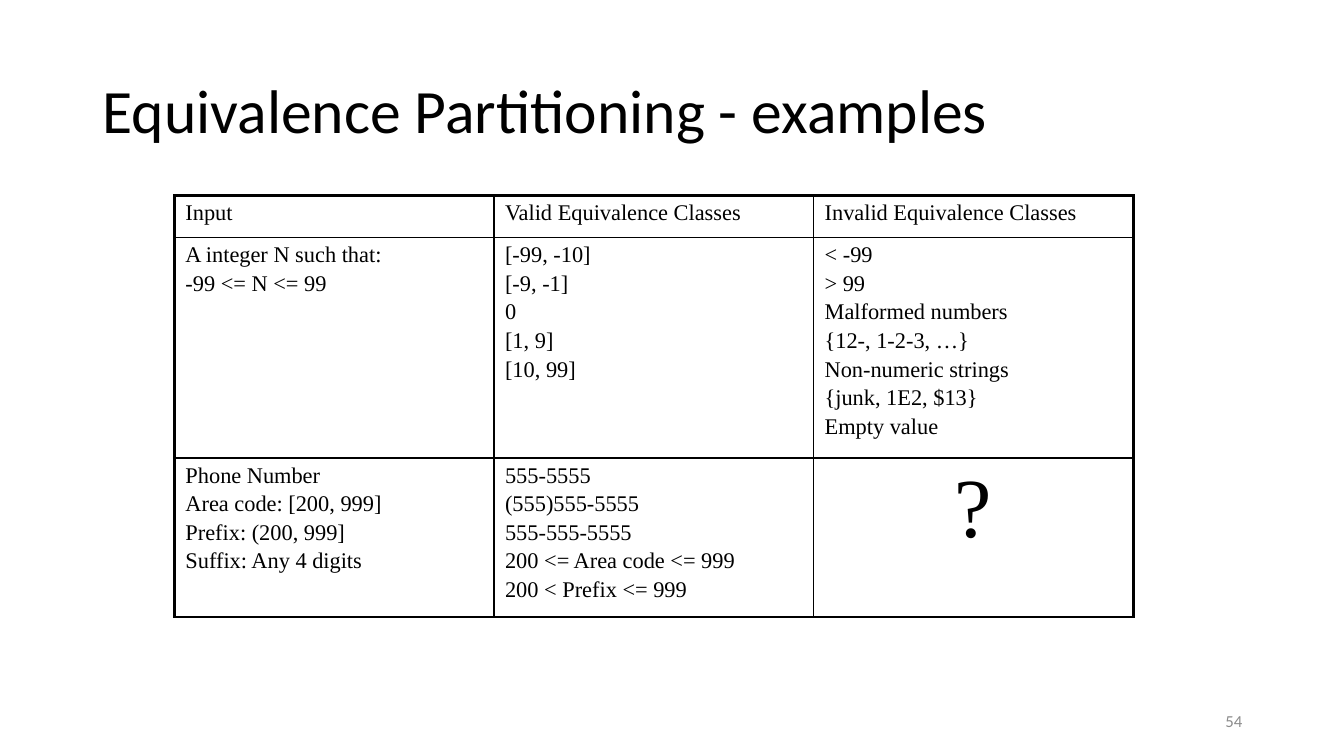
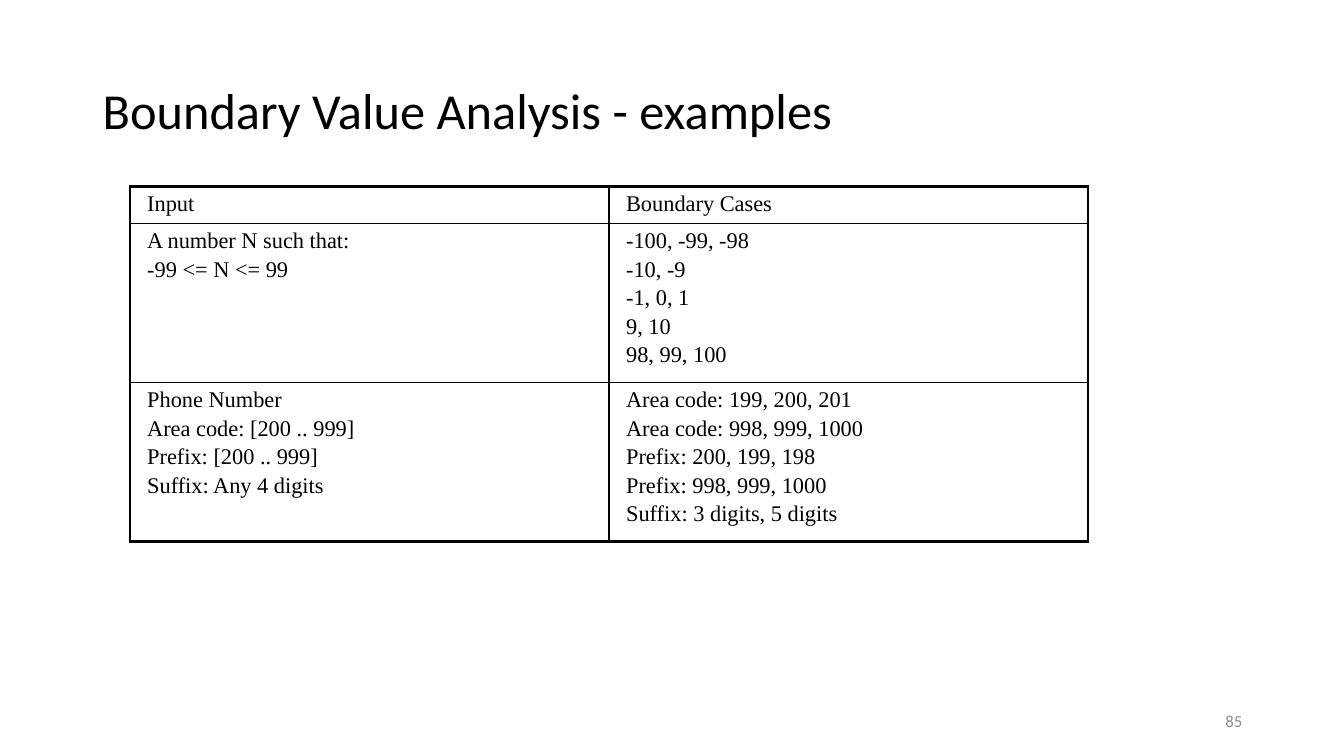
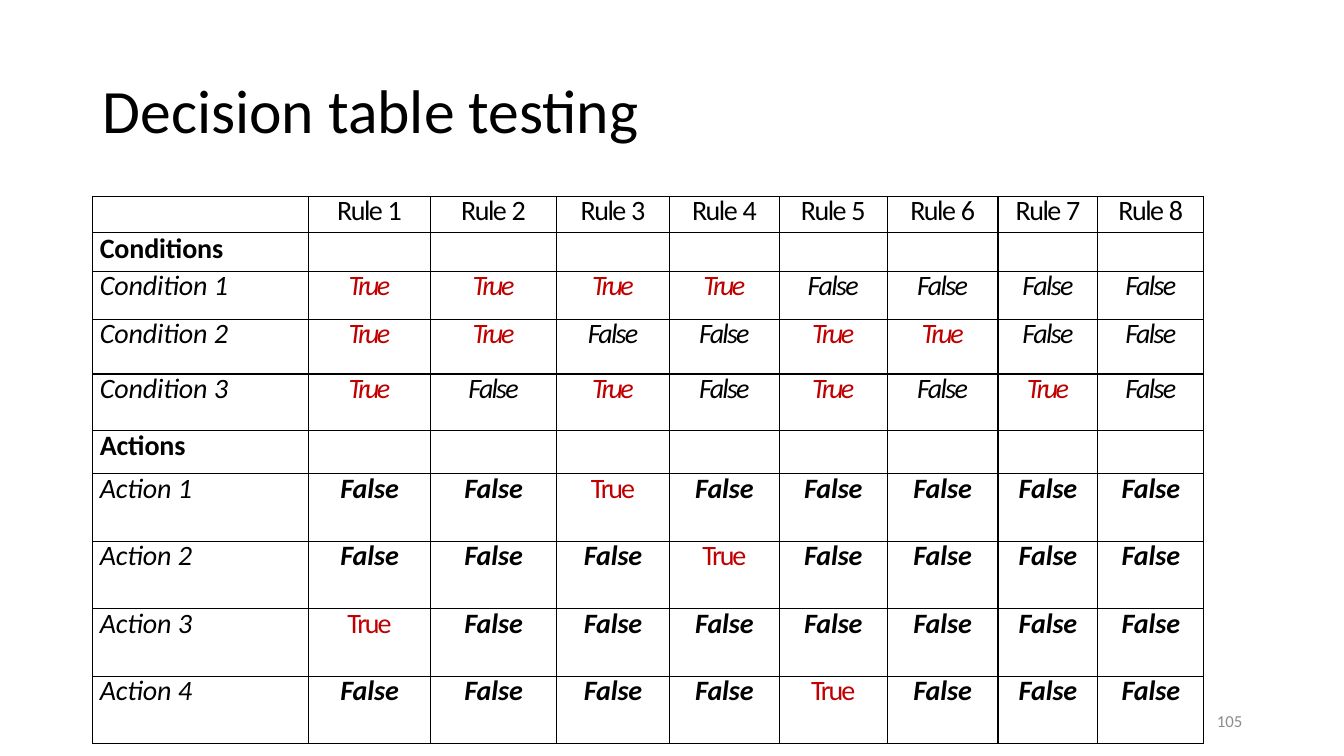
from lxml import etree
from pptx import Presentation
from pptx.dml.color import RGBColor
from pptx.enum.text import MSO_ANCHOR, PP_ALIGN
from pptx.oxml.ns import qn
from pptx.util import Inches, Pt

MIDDLE = MSO_ANCHOR.MIDDLE
LEFT, CENTER, RIGHT = PP_ALIGN.LEFT, PP_ALIGN.CENTER, PP_ALIGN.RIGHT
HUES = {"ink": "000000", "red": "C00000", "gray": "8C8C8C"}
SANS, SERIF = "Calibri", "Times New Roman"
THIN, THICK = 1, 2.25

CLASSES = [
    [["Input"], ["Valid Equivalence Classes"], ["Invalid Equivalence Classes"]],
    [["A integer N such that:", "-99 <= N <= 99"],
     ["[-99, -10]", "[-9, -1]", "0", "[1, 9]", "[10, 99]"],
     ["< -99", "> 99", "Malformed numbers", "{12-, 1-2-3, …}",
      "Non-numeric strings", "{junk, 1E2, $13}", "Empty value"]],
    [["Phone Number", "Area code: [200, 999]", "Prefix: (200, 999]",
      "Suffix: Any 4 digits"],
     ["555-5555", "(555)555-5555", "555-555-5555",
      "200 <= Area code <= 999", "200 < Prefix <= 999"],
     ["?"]],
]
BOUNDS = [
    [["Input"], ["Boundary Cases"]],
    [["A number N such that:", "-99 <= N <= 99"],
     ["-100, -99, -98", "-10, -9", "-1, 0, 1", "9, 10", "98, 99, 100"]],
    [["Phone Number", "Area code: [200 .. 999]", "Prefix: [200 .. 999]",
      "Suffix: Any 4 digits"],
     ["Area code: 199, 200, 201", "Area code: 998, 999, 1000",
      "Prefix: 200, 199, 198", "Prefix: 998, 999, 1000",
      "Suffix: 3 digits, 5 digits"]],
]
CONDITIONS = ["TTTTFFFF", "TTFFTTFF", "TFTFTFTF"]
ACTIONS = ["FFTFFFFF", "FFFTFFFF", "TFFFFFFF", "FFFFTFFF"]
RULE_COLS = [2.14, 1.21, 1.25, 1.12, 1.09, 1.07, 1.1, 0.99, 1.05]
RULE_ROWS = [0.36, 0.38, 0.48, 0.54, 0.56, 0.43] + [0.67] * 4


def add_run(para, text, size, face=SANS, hue="ink", bold=False, italic=False, track=0):
    """Add one styled run; track is letter spacing in points."""
    run = para.add_run()
    run.text = text
    font = run.font
    font.size, font.name, font.bold, font.italic = Pt(size), face, bold, italic
    font.color.rgb = RGBColor.from_string(HUES[hue])
    if track:
        run._r.get_or_add_rPr().set("spc", str(round(track * 100)))


def add_label(slide, box, text, size, hue="ink", align=LEFT, lead=1.0):
    """Add a one-line text box centred on its height."""
    frame = slide.shapes.add_textbox(*map(Inches, box)).text_frame
    frame.word_wrap = True
    frame.vertical_anchor = MIDDLE
    para = frame.paragraphs[0]
    para.alignment, para.line_spacing = align, lead
    add_run(para, text, size, hue=hue)


def add_page(deck, title, number, size=44):
    """Add a slide with its title and page number."""
    slide = deck.slides.add_slide(deck.slide_layouts[6])
    add_label(slide, (0.92, 0.4, 11.5, 1.45), title, size, lead=0.9)
    add_label(slide, (9.42, 6.95, 3, 0.4), str(number), 12, "gray", RIGHT)
    return slide


def set_edge(cell, side, width):
    """Draw one cell border."""
    line = etree.SubElement(cell._tc.get_or_add_tcPr(), qn("a:ln" + side), w=str(Pt(width)))
    fill = etree.SubElement(line, qn("a:solidFill"))
    etree.SubElement(fill, qn("a:srgbClr"), val=HUES["ink"])


def add_grid(slide, left, top, cols, rows, pad, rim):
    """Add an unfilled table with thin inner lines and the given rim."""
    size = map(Inches, (left, top, sum(cols), sum(rows)))
    grid = slide.shapes.add_table(len(rows), len(cols), *size).table
    grid.first_row = grid.horz_banding = False
    for col, width in zip(grid.columns, cols):
        col.width = Inches(width)
    for row, height in zip(grid.rows, rows):
        row.height = Inches(height)
    for y in range(len(rows)):
        for x in range(len(cols)):
            cell = grid.cell(y, x)
            cell.margin_left = cell.margin_right = Inches(pad[0])
            cell.margin_top = cell.margin_bottom = Inches(pad[1])
            outer = {"L": x == 0, "R": x == len(cols) - 1,
                     "T": y == 0, "B": y == len(rows) - 1}
            for side, edge in outer.items():
                set_edge(cell, side, rim if edge else THIN)
            cell.fill.background()
    return grid


def add_cases(slide, left, top, cols, rows, pad, data):
    """Add a table whose cells hold lists of lines."""
    grid = add_grid(slide, left, top, cols, rows, (pad, 0.05), THICK)
    for y, row in enumerate(data):
        for x, lines in enumerate(row):
            frame = grid.cell(y, x).text_frame
            for i, line in enumerate(lines):
                para = frame.add_paragraph() if i else frame.paragraphs[0]
                if i:
                    para.space_before = Pt(2.6)
                mark = line == "?"
                para.alignment = CENTER if mark else LEFT
                add_run(para, line, 60 if mark else 16, SERIF)


def get_para(grid, y, x, lead=22.8):
    """Ready a decision cell: names to the left, values centred."""
    cell = grid.cell(y, x)
    para = cell.text_frame.paragraphs[0]
    para.line_spacing = Pt(lead)
    para.alignment = CENTER if x else LEFT
    if not x:
        cell.margin_left = Inches(0.07)
    return para


def fill_group(grid, top, head, stem, gap, marks, style):
    """Fill a heading row and the named True/False rows below it."""
    add_run(get_para(grid, top, 0, 23.4), head, 20, bold=True, track=-0.1)
    for n, row in enumerate(marks, 1):
        para = get_para(grid, top + n, 0)
        add_run(para, stem, 20, italic=True, track=-0.1)
        add_run(para, f"{gap}{n}", 20, italic=True)
        for x, mark in enumerate(row, 1):
            text = "True" if mark == "T" else "False"
            add_run(get_para(grid, top + n, x), text, 20, **style(mark == "T", x))


def style_test(true, x):
    """Style a condition value; the right half is set a little wider."""
    shift = 0.1 if x > 4 else 0
    return {"hue": "red" if true else "ink", "italic": True,
            "track": (-1.9 if true else -1.3) + shift}


def style_act(true, x):
    """Style an action value."""
    if true:
        return {"hue": "red", "track": -1.5}
    return {"bold": True, "italic": True, "track": -0.1}


def add_rules(slide):
    """Add the decision table."""
    grid = add_grid(slide, 0.92, 1.95, RULE_COLS, RULE_ROWS, (0, 0), THIN)
    for x in range(1, len(RULE_COLS)):
        para = get_para(grid, 0, x)
        add_run(para, "Rule ", 20, track=-1.1)
        add_run(para, str(x), 20, track=-0.3)
    fill_group(grid, 1, "Conditions", "Condition ", "", CONDITIONS, style_test)
    fill_group(grid, 5, "Actions", "Action", " ", ACTIONS, style_act)


def main():
    """Build and save the deck."""
    deck = Presentation()
    deck.slide_width, deck.slide_height = Inches(13.33), Inches(7.5)
    page = add_page(deck, "Equivalence Partitioning - examples", 54)
    add_cases(page, 1.73, 1.94, [3.17] * 3, [0.42, 2.09, 1.51], 0.11, CLASSES)
    page = add_page(deck, "Boundary Value Analysis - examples", 85, 36)
    add_cases(page, 1.29, 1.85, [4.75] * 2, [0.35, 1.51, 1.51], 0.17, BOUNDS)
    add_rules(add_page(deck, "Decision table testing", 105))
    deck.save("out.pptx")


if __name__ == "__main__":
    main()
